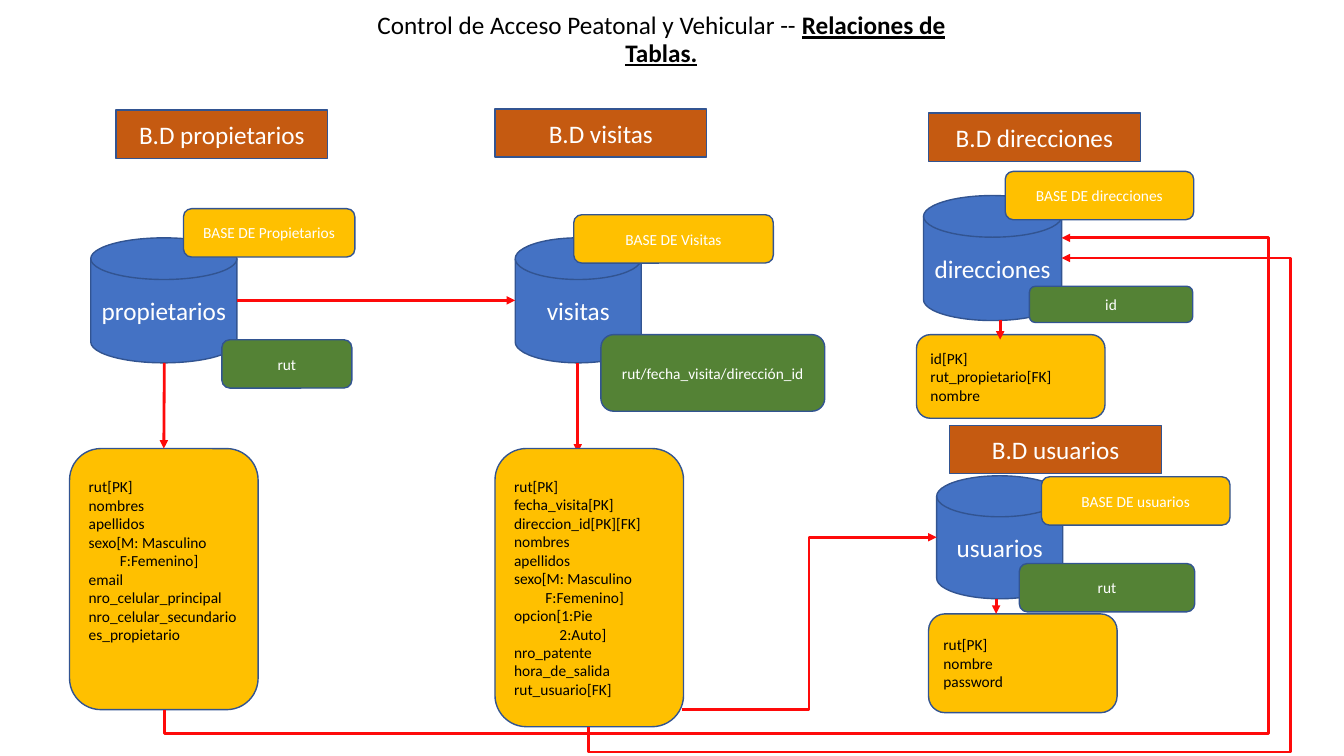
from lxml import etree
from pptx import Presentation
from pptx.dml.color import RGBColor
from pptx.enum.shapes import MSO_CONNECTOR, MSO_SHAPE
from pptx.enum.text import MSO_ANCHOR, PP_ALIGN
from pptx.oxml.ns import qn
from pptx.util import Inches, Pt

RECTANGLE, ROUNDED = MSO_SHAPE.RECTANGLE, MSO_SHAPE.ROUNDED_RECTANGLE
CYLINDER = MSO_SHAPE.FLOWCHART_MAGNETIC_DISK
STRAIGHT, ELBOW = MSO_CONNECTOR.STRAIGHT, MSO_CONNECTOR.ELBOW
LEFT, CENTER = PP_ALIGN.LEFT, PP_ALIGN.CENTER
MIDDLE, BOTTOM = MSO_ANCHOR.MIDDLE, MSO_ANCHOR.BOTTOM

FONT = "Calibri"
BLACK, WHITE = "000000", "FFFFFF"
BLUE, OUTLINE, GREEN = "4472C4", "325491", "548235"
YELLOW, ORANGE, RED = "FFC000", "C55A11", "FE0A0A"
HEADER_SIZE = (2.1, 0.48)
BASE_HEIGHT, CARD_WIDTH = 0.48, 1.87

# Content: boxes are left, top, width, height in inches;
# a field given as a tuple is text and indent
TITLE = [("Control de Acceso Peatonal y Vehicular -- ", False),
         ("Relaciones de Tablas.", True)]
DATABASES = [
    {"name": "propietarios", "cylinder": (0.9, 2.36, 1.45, 1.24),
     "header": (1.15, 1.09),
     "base": ("BASE DE Propietarios", 1.82, 2.07, 1.7),
     "key": ("rut", 2.2, 3.37, 1.29, 0.48),
     "card": (0.69, 4.45, 2.59), "card_bottom": 0.42,
     "fields": ["rut[PK]", "nombres", "apellidos", "sexo[M: Masculino",
                ("F:Femenino]", 0.31), "email", "nro_celular_principal",
                "nro_celular_secundario", "es_propietario"]},
    {"name": "visitas", "cylinder": (5.11, 2.36, 1.25, 1.24),
     "header": (4.91, 1.08),
     "base": ("BASE DE Visitas", 5.69, 2.13, 1.98),
     "key": ("rut/fecha_visita/dirección_id", 5.96, 3.32, 2.22, 0.76),
     "card": (4.91, 4.45, 2.76),
     "fields": ["rut[PK]", "fecha_visita[PK]", "direccion_id[PK][FK]",
                "nombres", "apellidos", "sexo[M: Masculino",
                ("F:Femenino]", 0.31), "opcion[1:Pie", ("2:Auto]", 0.45),
                "nro_patente", "hora_de_salida", "rut_usuario[FK]"]},
    {"name": "direcciones", "cylinder": (9.16, 1.94, 1.37, 1.24),
     "header": (9.21, 1.12),
     "base": ("BASE DE direcciones", 9.97, 1.7, 1.87),
     "key": ("id", 10.21, 2.84, 1.62, 0.36),
     "card": (9.09, 3.32, 0.83),
     "fields": ["id[PK]", "rut_propietario[FK]", "nombre"]},
    {"name": "usuarios", "cylinder": (9.29, 4.72, 1.25, 1.22),
     "header": (9.42, 4.22),
     "base": ("BASE DE usuarios", 10.33, 4.73, 1.87),
     "key": ("rut", 10.11, 5.59, 1.74, 0.48),
     "card": (9.21, 6.09, 0.98),
     "fields": ["rut[PK]", "nombre", "password"]},
]
ARROWS_BEHIND_CARDS = [((2.35, 2.98), (5.11, 2.98)),
                       ((5.73, 3.6), (5.73, 4.49))]
ARROWS_TO_CARDS = [((9.92, 3.17), (9.92, 3.37)),
                   ((9.88, 5.94), (9.88, 6.09))]
OWNER_ARROW = ((1.63, 3.6), (1.63, 4.45))
USER_ARROW = ((6.76, 7.04), (9.29, 5.33))
# start, end, lowest y, rightmost x
LOOP_ARROWS = [((1.63, 7.04), (10.53, 2.36), 7.28, 12.59),
               ((5.84, 7.21), (10.53, 2.56), 7.46, 12.8)]


def color(hex_string):
    return RGBColor.from_string(hex_string)


def write_text(frame, lines, size=11, ink=WHITE, align=CENTER,
               anchor=MIDDLE, bottom=0.05):
    """Each line is (runs, indent); each run is (text, emphasis)."""
    frame.word_wrap = True
    frame.vertical_anchor = anchor
    frame.margin_bottom = Inches(bottom)
    for index, (runs, indent) in enumerate(lines):
        paragraph = frame.paragraphs[0] if index == 0 else frame.add_paragraph()
        paragraph.alignment = align
        if indent:
            paragraph._p.get_or_add_pPr().set("marL", str(Inches(indent)))
        for text, emphasis in runs:
            run = paragraph.add_run()
            run.text = text
            run.font.name = FONT
            run.font.size = Pt(size)
            run.font.color.rgb = color(ink)
            if emphasis:
                run.font.bold = run.font.underline = True


def add_box(kind, box, fill, fields, **text_format):
    shape = slide.shapes.add_shape(kind, *map(Inches, box))
    shape.shadow.inherit = False
    shape.fill.solid()
    shape.fill.fore_color.rgb = color(fill)
    shape.line.color.rgb = color(OUTLINE)
    shape.line.width = Pt(1)
    pairs = [field if isinstance(field, tuple) else (field, 0)
             for field in fields]
    write_text(shape.text_frame,
               [([(text, False)], indent) for text, indent in pairs],
               **text_format)
    return shape


def add_arrow(start, end, kind=STRAIGHT):
    arrow = slide.shapes.add_connector(kind, *map(Inches, start + end))
    arrow.line.color.rgb = color(RED)
    arrow.line.width = Pt(2)
    etree.SubElement(arrow.line._get_or_add_ln(), qn("a:tailEnd"), type="triangle")
    etree.SubElement(arrow._element.spPr, qn("a:effectLst"))
    return arrow


def add_loop_arrow(start, end, lowest, rightmost):
    """Goes down, right, up and back left, as a turned four-part elbow."""
    run_x, rise = end[0] - start[0], start[1] - end[1]
    middle_x, middle_y = (start[0] + end[0]) / 2, (start[1] + end[1]) / 2
    arrow = add_arrow((middle_x - rise / 2, middle_y - run_x / 2),
                      (middle_x + rise / 2, middle_y + run_x / 2), ELBOW)
    properties = arrow._element.spPr
    transform = properties.find(qn("a:xfrm"))
    for name, value in (("rot", "5400000"), ("flipH", "1"), ("flipV", "1")):
        transform.set(name, value)
    geometry = properties.find(qn("a:prstGeom"))
    geometry.set("prst", "bentConnector4")
    guides = geometry.find(qn("a:avLst"))
    if guides is None:
        guides = etree.SubElement(geometry, qn("a:avLst"))
    ratios = ((start[1] - lowest) / rise, (rightmost - start[0]) / run_x)
    for number, ratio in enumerate(ratios, 1):
        etree.SubElement(guides, qn("a:gd"), name=f"adj{number}",
                         fmla=f"val {round(ratio * 100000)}")


presentation = Presentation()
presentation.slide_width = Inches(13.33)
presentation.slide_height = Inches(7.5)
slide = presentation.slides.add_slide(presentation.slide_layouts[6])

# Title
title = slide.shapes.add_textbox(*map(Inches, (3.29, 0.15, 6.54, 0.57)))
write_text(title.text_frame, [(TITLE, 0)], size=18, ink=BLACK, anchor=BOTTOM)
title.text_frame.paragraphs[0].line_spacing = 0.9

# Databases with their labels
for database in DATABASES:
    name = database["name"]
    add_box(RECTANGLE, database["header"] + HEADER_SIZE, ORANGE,
            ["B.D " + name], size=18)
    add_box(CYLINDER, database["cylinder"], BLUE, [name], size=18)
    key, *key_box = database["key"]
    add_box(ROUNDED, key_box, GREEN, [key])
    base, *base_box = database["base"]
    add_box(ROUNDED, base_box + [BASE_HEIGHT], YELLOW, [base])

# Field cards, above the first arrows
for start, end in ARROWS_BEHIND_CARDS:
    add_arrow(start, end)
cards = {}
for database in DATABASES:
    left, top, height = database["card"]
    cards[database["name"]] = add_box(
        ROUNDED, (left, top, CARD_WIDTH, height), YELLOW, database["fields"],
        ink=BLACK, align=LEFT, bottom=database.get("card_bottom", 0.05))

# Remaining arrows
add_arrow(*OWNER_ARROW).end_connect(cards["propietarios"], 0)
add_arrow(*USER_ARROW, kind=ELBOW)
for loop in LOOP_ARROWS:
    add_loop_arrow(*loop)
for start, end in ARROWS_TO_CARDS:
    add_arrow(start, end)

presentation.save("out.pptx")
